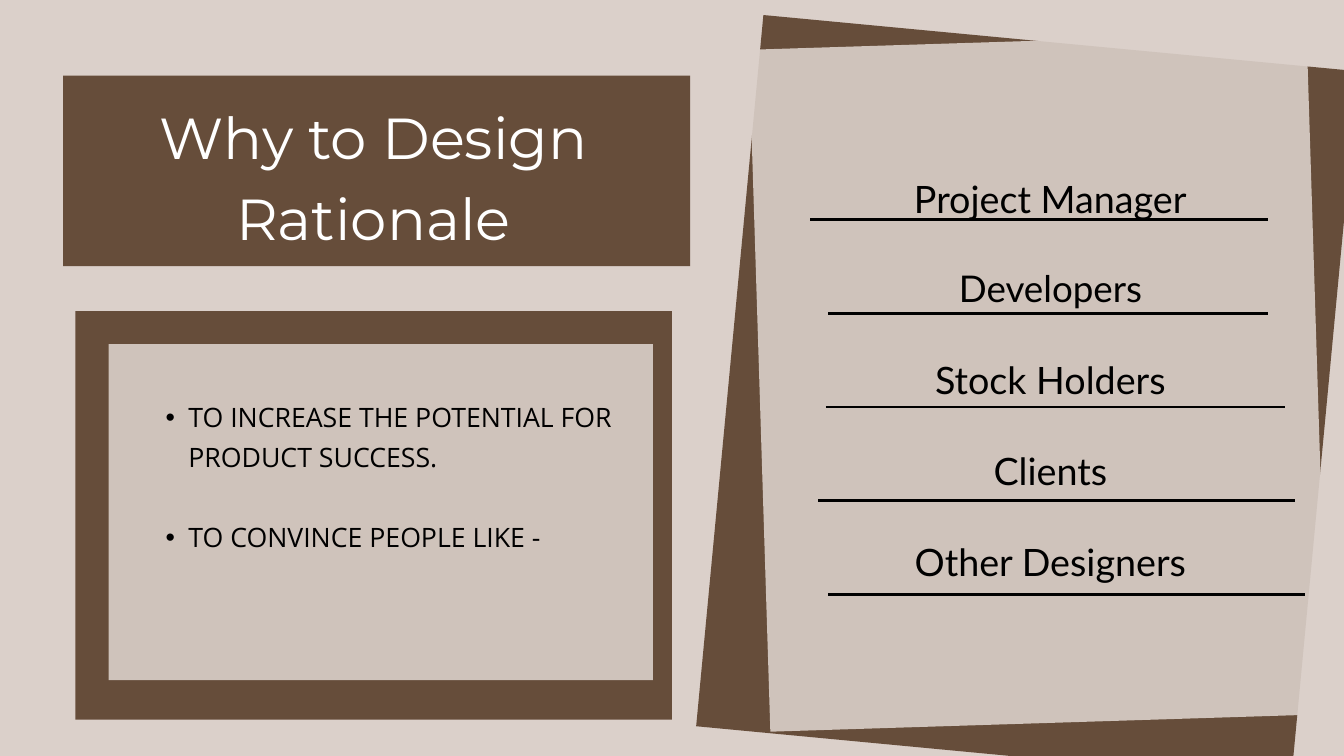
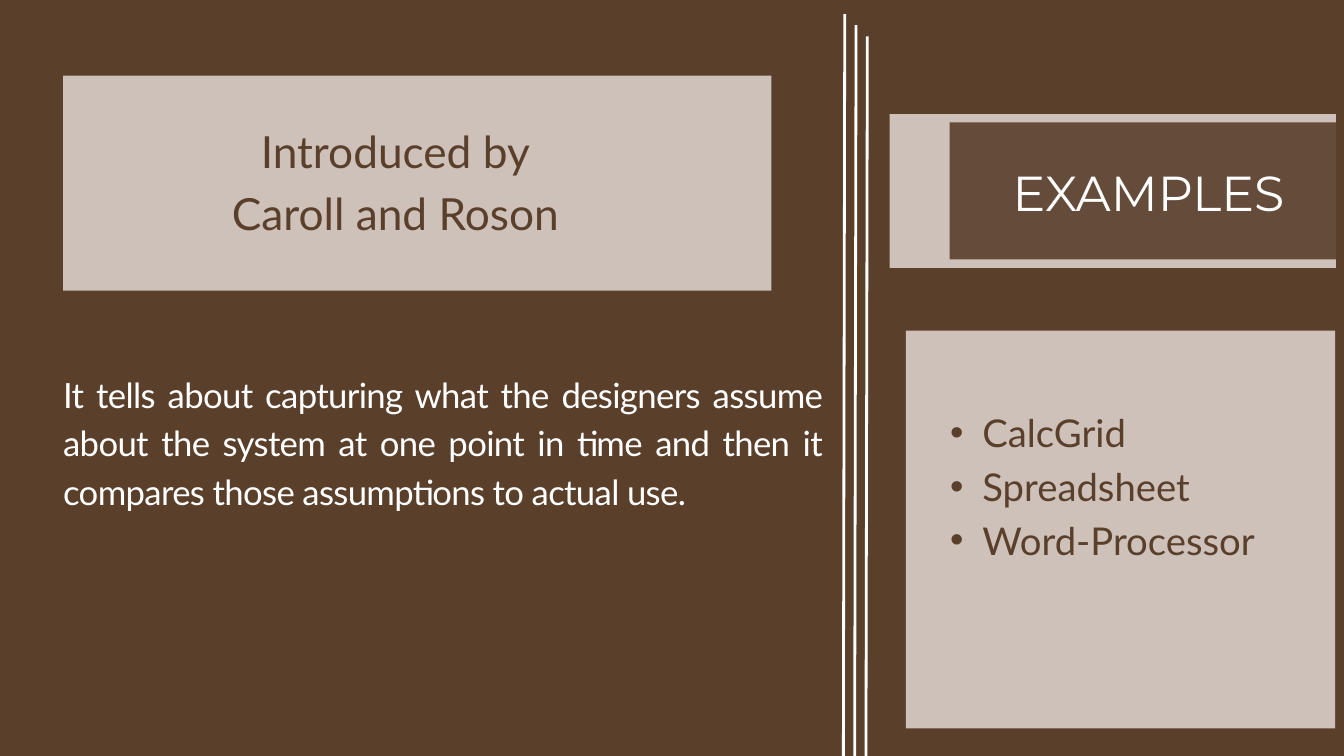
from dataclasses import dataclass

from lxml.etree import SubElement
from pptx import Presentation
from pptx.dml.color import RGBColor
from pptx.enum.shapes import MSO_CONNECTOR, MSO_SHAPE
from pptx.enum.text import MSO_ANCHOR, MSO_AUTO_SIZE, PP_ALIGN as ALIGN
from pptx.oxml.ns import qn
from pptx.util import Inches, Pt

BROWN = RGBColor(0x5A, 0x3F, 0x2B)
SAND = RGBColor(0xDB, 0xD0, 0xCA)
WHITE = RGBColor(0xFF, 0xFF, 0xFF)
BLACK = RGBColor(0x00, 0x00, 0x00)

BODY_FONT, DISPLAY_FONT, LIST_FONT = "Lato", "Montserrat", "Open Sans"
PANEL_OPACITY = 90


@dataclass
class Box:
    x: float
    y: float
    w: float
    h: float

    def inner(self, x, y, w, h):
        """Return an inner box given in percent of this one."""
        return Box(self.x + self.w * x / 100, self.y + self.h * y / 100,
                   self.w * w / 100, self.h * h / 100)

    def emu(self):
        return [Inches(v) for v in (self.x, self.y, self.w, self.h)]


SLIDE = Box(0, 0, 20, 11.25)


def add_slide(prs, background):
    s = prs.slides.add_slide(prs.slide_layouts[5])
    s.background.fill.solid()
    s.background.fill.fore_color.rgb = background
    return s


def add_panel(s, box, color, rotation=0):
    sp = s.shapes.add_shape(MSO_SHAPE.RECTANGLE, *box.emu())
    sp.rotation = rotation
    sp.shadow.inherit = False
    sp.fill.solid()
    sp.fill.fore_color.rgb = color
    sp.line.fill.background()
    rgb = sp._element.spPr.find(qn("a:solidFill")).find(qn("a:srgbClr"))
    SubElement(rgb, qn("a:alpha"), val=str(PANEL_OPACITY * 1000))


def add_rule(s, x1, y1, x2, y2, color):
    ends = [Inches(v) for v in (x1, y1, x2, y2)]
    line = s.shapes.add_connector(MSO_CONNECTOR.STRAIGHT, *ends)
    line.line.color.rgb = color
    line.line.width = Pt(3)
    SubElement(line._element.spPr, qn("a:effectLst"))


def add_bullet(p, indent):
    """Hang the paragraph by indent inches, its text at twice that."""
    pPr = p._p.get_or_add_pPr()
    pPr.set("marL", str(Inches(2 * indent)))
    pPr.set("indent", str(-Inches(indent)))
    SubElement(pPr, qn("a:buFont"), typeface="Arial")
    SubElement(pPr, qn("a:buChar"), char="•")


def fill_text(sp, lines, size, color, font=BODY_FONT, align=ALIGN.CENTER,
              leading=1.4, indent=None, gap=0, tracking=0):
    tf = sp.text_frame
    tf.word_wrap = True
    tf.auto_size = MSO_AUTO_SIZE.NONE
    tf.vertical_anchor = MSO_ANCHOR.TOP
    tf.margin_left = tf.margin_top = tf.margin_right = tf.margin_bottom = 0
    tf.text = "\n".join(lines)
    for i, p in enumerate(tf.paragraphs):
        p.alignment = align
        p.line_spacing = Pt(size * leading)
        p.space_before = Pt(gap if i else 0)
        if indent:
            add_bullet(p, indent)
        for r in p.runs:
            r.font.size = Pt(size)
            r.font.name = font
            r.font.color.rgb = color
            if tracking:
                r._r.get_or_add_rPr().set("spc", str(round(tracking * 100)))


def add_text(s, box, lines, size, color, **style):
    fill_text(s.shapes.add_textbox(*box.emu()), lines, size, color, **style)


def set_title(s, box, lines, size, color, **style):
    """Move the title placeholder into the box, in front of its band."""
    sp = s.shapes.title
    s.shapes._spTree.append(sp._element)
    sp.left, sp.top, sp.width, sp.height = box.emu()
    fill_text(sp, lines, size, color, **style)


def add_reasons(s, box):
    add_panel(s, box, BROWN)
    add_panel(s, box.inner(5.6, 8.1, 91.2, 82.2), SAND)
    reasons = ["TO INCREASE THE POTENTIAL FOR PRODUCT SUCCESS.",
               "TO CONVINCE PEOPLE LIKE -"]
    add_text(s, box.inner(11.3, 20.1, 80.2, 38.5), reasons, 28.6, BLACK,
             font=LIST_FONT, align=ALIGN.LEFT, leading=1.5, indent=0.34,
             gap=42.9)


def add_audience(s, box):
    add_panel(s, box, BROWN, 5.4)
    add_panel(s, box.inner(5.2, -0.1, 93.4, 95.5), SAND, -1.8)
    # name, text size, left and right end of its rule in percent
    people = [("Project Manager", 40.4, 13.7, 90.4),
              ("Developers", 39.4, 16.7, 90.4),
              ("Stock Holders", 40.4, 16.3, 93.2),
              ("Clients", 40.4, 15, 94.8),
              ("Other Designers", 40.4, 16.7, 96.5)]
    for i, (name, size, left, right) in enumerate(people):
        rule = box.inner(left, 24.9 + 13.13 * i, right - left, 0)
        add_rule(s, rule.x, rule.y, rule.x + rule.w, rule.y, BLACK)
        add_text(s, box.inner(25, 17.7 + 12.7 * i, 57.8, 7.05), [name], size,
                 BLACK)


def add_stripes(s, box, count=3):
    for i in range(count):
        stripe = box.inner(48 * i, 1.5 * i, 6, 100)
        add_rule(s, stripe.x, stripe.y + stripe.h, stripe.x + stripe.w,
                 stripe.y, WHITE)


def add_examples_heading(s, box):
    add_panel(s, box, SAND)
    add_panel(s, box.inner(13.4, 5.3, 89.3, 89.1), BROWN)
    add_text(s, box.inner(26, 28.4, 64, 40.6), ["EXAMPLES"], 52.6, WHITE,
             font=DISPLAY_FONT, leading=1.3)


def add_examples(s, box):
    add_panel(s, box, SAND)
    add_text(s, box.inner(2.8, 17.9, 90.8, 39.5),
             ["CalcGrid", "Spreadsheet", "Word-Processor"], 41, BROWN,
             align=ALIGN.LEFT, indent=0.48)


def build_why_slide(prs):
    s = add_slide(prs, SAND)
    add_audience(s, SLIDE.inner(54.2, 5.5, 44.45, 94.5))
    band = SLIDE.inner(4.7, 10, 46.65, 25.2)
    add_panel(s, band, BROWN)
    set_title(s, band.inner(6.1, 7.7, 86.8, 83.4), ["Why to Design Rationale"],
              61.9, WHITE, font=DISPLAY_FONT)
    add_reasons(s, SLIDE.inner(5.6, 41.15, 44.4, 54.05))


def build_origin_slide(prs):
    s = add_slide(prs, BROWN)
    add_stripes(s, SLIDE.inner(62.75, 1.87, 1.75, 98.13))
    band = SLIDE.inner(4.7, 10, 52.7, 28.45)
    add_panel(s, band, SAND)
    set_title(s, band.inner(-3.1, 18.4, 100, 56.6),
              ["Introduced by", "Caroll and Roson"], 47.4, BROWN)
    add_text(s, SLIDE.inner(4.7, 48.5, 56.5, 25.5),
             ["It tells about capturing what the designers assume about the "
              "system at one point in time and then it compares those "
              "assumptions to actual use."],
             37.2, WHITE, align=ALIGN.JUSTIFY, tracking=-0.7)
    add_examples_heading(s, SLIDE.inner(66.2, 15.1, 33.2, 20.35))
    add_examples(s, SLIDE.inner(67.4, 43.75, 31.95, 52.6))


def main():
    prs = Presentation()
    prs.slide_width, prs.slide_height = Inches(SLIDE.w), Inches(SLIDE.h)
    build_why_slide(prs)
    build_origin_slide(prs)
    prs.save("out.pptx")


if __name__ == "__main__":
    main()
